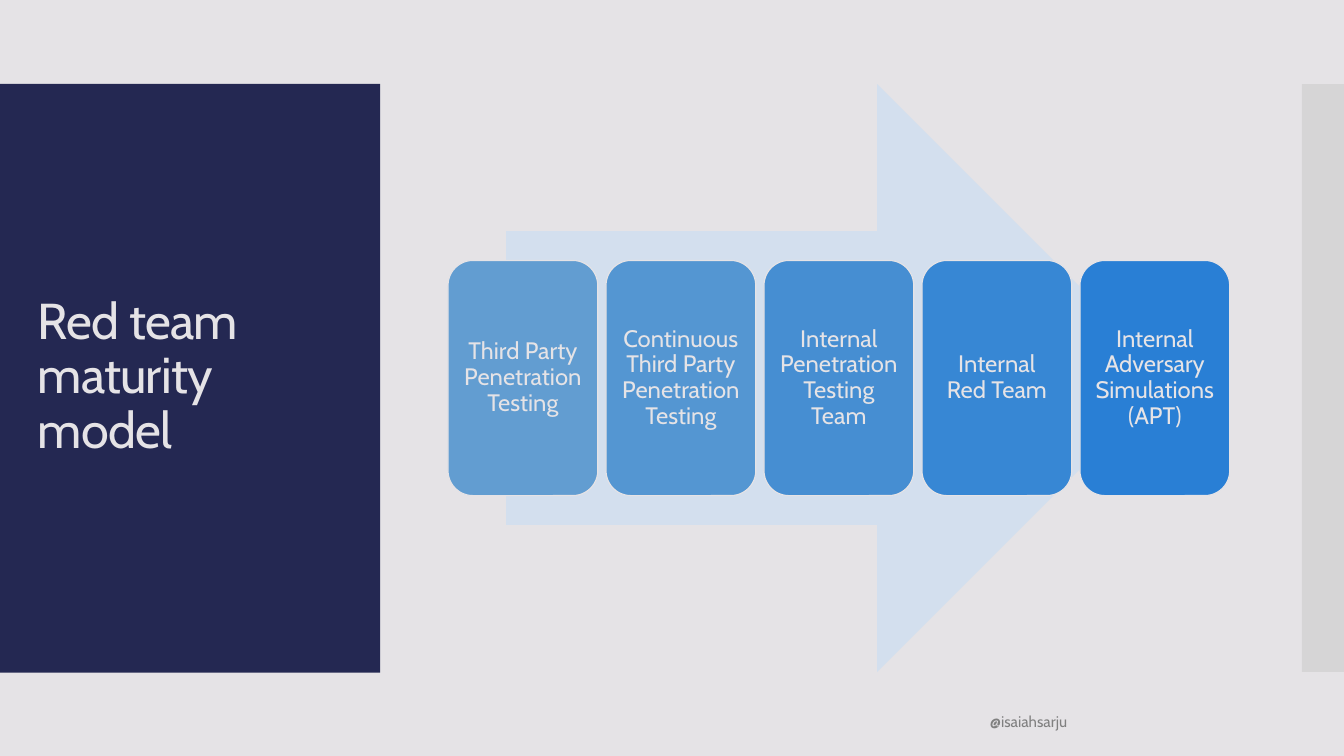
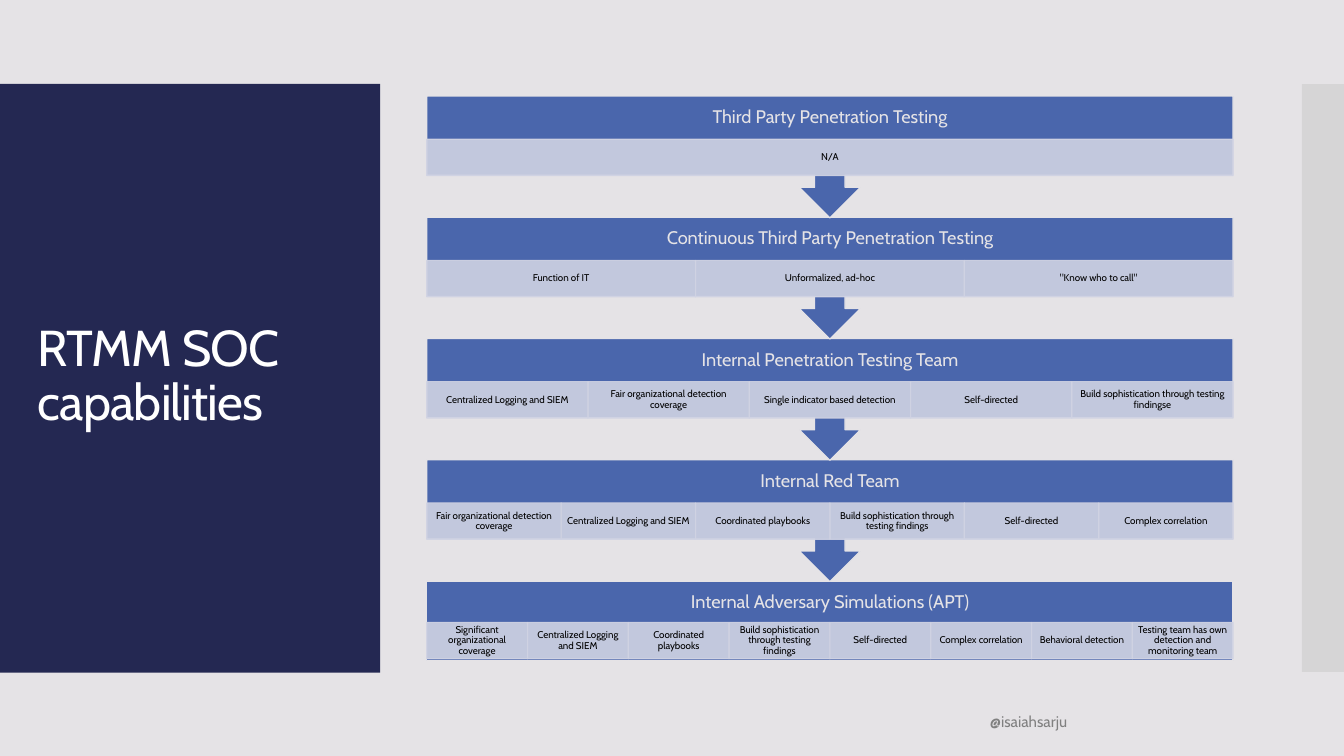
"""Build two slides on the red team maturity model."""
from pptx import Presentation
from pptx.dml.color import RGBColor
from pptx.enum.shapes import MSO_SHAPE
from pptx.enum.text import MSO_ANCHOR, PP_ALIGN
from pptx.oxml.ns import qn
from pptx.oxml.xmlchemy import OxmlElement
from pptx.util import Pt

RECT = MSO_SHAPE.RECTANGLE
ROUND = MSO_SHAPE.ROUNDED_RECTANGLE
ARROW = MSO_SHAPE.RIGHT_ARROW
CALLOUT = MSO_SHAPE.DOWN_ARROW_CALLOUT
MIDDLE = MSO_ANCHOR.MIDDLE
LEFT, CENTER, RIGHT = PP_ALIGN.LEFT, PP_ALIGN.CENTER, PP_ALIGN.RIGHT

PAPER = RGBColor(0xE5, 0xE3, 0xE6)
NAVY = RGBColor(0x24, 0x28, 0x52)
BLUE = RGBColor(0x4A, 0x66, 0xAC)
PALE = RGBColor(0xD3, 0xDF, 0xEE)
CELL = RGBColor(0xD0, 0xD3, 0xE3)
SILVER = RGBColor(0xC8, 0xC8, 0xC8)
GRAY = RGBColor(0x80, 0x80, 0x80)
BLACK = RGBColor(0, 0, 0)
WHITE = RGBColor(255, 255, 255)
SHADES = [RGBColor.from_string(c) for c in
          ("629DD1", "5496D2", "468ED2", "3787D4", "297FD5")]

STAGES = [
    ("Third Party Penetration Testing", ["N/A"]),
    ("Continuous Third Party Penetration Testing",
     ["Function of IT", "Unformalized, ad-hoc", '"Know who to call"']),
    ("Internal Penetration Testing Team",
     ["Centralized Logging and SIEM",
      "Fair organizational detection coverage",
      "Single indicator based detection", "Self-directed",
      "Build sophistication through testing findingse"]),
    ("Internal Red Team",
     ["Fair organizational detection coverage",
      "Centralized Logging and SIEM", "Coordinated playbooks",
      "Build sophistication through testing findings",
      "Self-directed", "Complex correlation"]),
    ("Internal Adversary Simulations (APT)",
     ["Significant organizational coverage",
      "Centralized Logging and SIEM", "Coordinated playbooks",
      "Build sophistication through testing findings",
      "Self-directed", "Complex correlation", "Behavioral detection",
      "Testing team has own detection and monitoring team"]),
]


class Deck:
    """Hold the style and the current slide."""

    font = "Cabin"
    sides = ("margin_left", "margin_top", "margin_right", "margin_bottom")

    def __init__(self):
        self.prs = Presentation()
        self.prs.slide_width, self.prs.slide_height = Pt(960), Pt(540)
        self.slide = None

    def page(self, title, color):
        """Start a slide with its bands, title and footer."""
        self.slide = self.prs.slides.add_slide(self.prs.slide_layouts[6])
        back = self.slide.background.fill
        back.solid()
        back.fore_color.rgb = PAPER
        self.shape(RECT, (930, 60, 30, 420), SILVER, alpha=50)
        self.shape(RECT, (0, 60, 271.5, 420.5), NAVY)
        self.label((20, 88.5, 232, 362), title, size=36, color=color,
                   align=LEFT, track=-60)
        self.label((304.5, 500.5, 465, 29), "@isaiahsarju", size=11,
                   color=GRAY, align=RIGHT, space=1)

    def shape(self, kind, at, fill, line=None, alpha=100):
        """Add a filled shape, with a thin outline if asked."""
        item = self.slide.shapes.add_shape(kind, *map(Pt, at))
        item.shadow.inherit = False
        item.fill.solid()
        item.fill.fore_color.rgb = fill
        if line is None:
            item.line.fill.background()
        else:
            item.line.color.rgb = line
            item.line.width = Pt(0.85)
        if alpha < 100:
            for tone in item.element.spPr.iter(qn("a:srgbClr")):
                mark = OxmlElement("a:alpha")
                mark.set("val", str(alpha * 1000))
                tone.append(mark)
        return item

    def label(self, at, text, **style):
        """Add a text box."""
        self.letter(self.slide.shapes.add_textbox(*map(Pt, at)), text, **style)

    def letter(self, item, text, size, color, align=CENTER, space=0.9,
               pad=(7.2, 3.6, 7.2, 3.6), track=0):
        """Put styled text in a shape or box."""
        frame, para = item.text_frame, item.text_frame.paragraphs[0]
        run = para.add_run()
        run.text = text
        form = {
            frame: {"word_wrap": True, "vertical_anchor": MIDDLE,
                    **dict(zip(self.sides, map(Pt, pad)))},
            para: {"alignment": align, "line_spacing": space},
            run.font: {"name": self.font, "size": Pt(size)},
            run.font.color: {"rgb": color},
        }
        for part, values in form.items():
            for name, value in values.items():
                setattr(part, name, value)
        if track:
            for mark in item.element.iter(qn("a:rPr")):
                mark.set("spc", str(track))

    def card(self, at, text, fill):
        """Add a rounded stage card."""
        self.letter(self.shape(ROUND, at, fill, PAPER), text, size=17,
                    color=PAPER, pad=(5, 5, 5, 5))

    def stage(self, top, name, skills, last):
        """Add a stage band with its row of skills."""
        left, width = 304.8, 576
        kind, high = (RECT, 57) if last else (CALLOUT, 87)
        band = self.shape(kind, (left, top, width, high), BLUE, PAPER)
        self.letter(band, name, size=13, color=PAPER,
                    pad=(7.2, 7.2, 7.2, 32.7))
        row = top + (29.6 if last else 30.8)
        wide = width / len(skills)
        for i, skill in enumerate(skills):
            cell = self.shape(RECT, (left + i * wide, row, wide, 26), CELL,
                              CELL, alpha=90)
            self.letter(cell, skill, size=7, color=BLACK,
                        pad=(3.6, 0.9, 3.6, 0.9))


deck = Deck()

deck.page("Red team maturity model", PAPER)
deck.shape(ARROW, (361.5, 60, 475, 420), PALE)
for i, ((name, _), shade) in enumerate(zip(STAGES, SHADES)):
    deck.card((320 + i * 112.85, 186, 107, 168), name, shade)

deck.page("RTMM SOC capabilities", WHITE)
end = len(STAGES) - 1
for i in range(end, -1, -1):
    deck.stage(68.6 + i * 86.6, *STAGES[i], last=i == end)

deck.prs.save("out.pptx")
